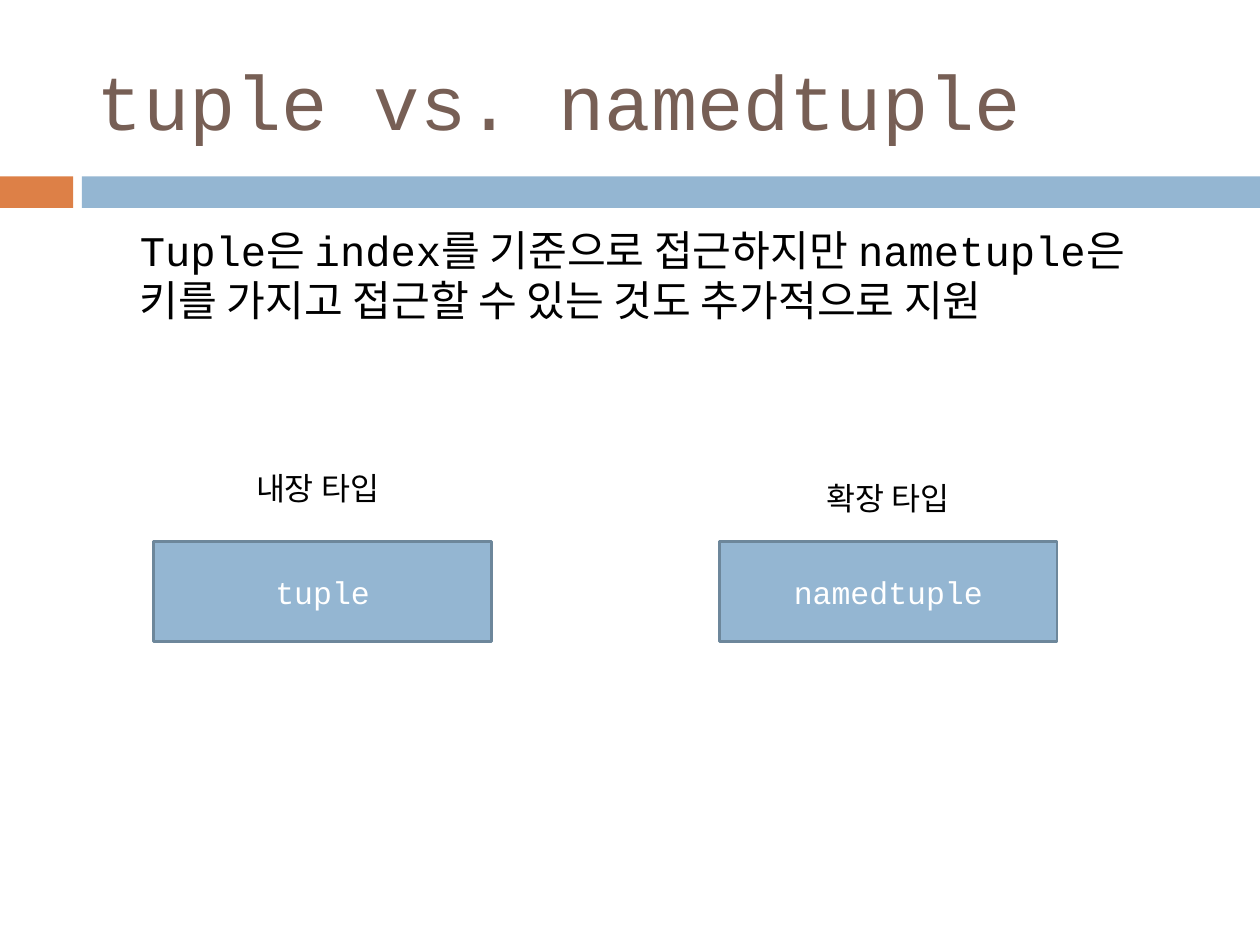
"""Build a slide comparing tuple with namedtuple."""
from pptx import Presentation
from pptx.dml.color import RGBColor
from pptx.enum.shapes import MSO_SHAPE as Shape
from pptx.enum.text import MSO_ANCHOR as Anchor, PP_ALIGN as Align
from pptx.util import Inches, Pt

COLORS = {
    "orange": "DD8047",
    "blue": "94B6D2",
    "outline": "6D879B",
    "brown": "775F55",
    "black": "000000",
    "white": "FFFFFF",
}


def add_rectangle(slide, box, color):
    shape = slide.shapes.add_shape(Shape.RECTANGLE, *map(Inches, box))
    shape.shadow.inherit = False
    shape.fill.solid()
    shape.fill.fore_color.rgb = RGBColor.from_string(COLORS[color])
    shape.line.fill.background()
    return shape


def write_text(shape, text, size, color, align=Align.LEFT, **frame_format):
    frame = shape.text_frame
    frame.word_wrap = True
    for name, value in frame_format.items():
        setattr(frame, name, value)
    paragraph = frame.paragraphs[0]
    paragraph.alignment = align
    run = paragraph.add_run()
    run.text = text
    for name, value in {"name": "Courier New", "size": Pt(size)}.items():
        setattr(run.font, name, value)
    run.font.color.rgb = RGBColor.from_string(COLORS[color])
    return paragraph


presentation = Presentation()
presentation.slide_width = Inches(10)
presentation.slide_height = Inches(7.5)
slide = presentation.slides.add_slide(presentation.slide_layouts[6])

add_rectangle(slide, (0, 1.4, 0.58, 0.25), "orange")
add_rectangle(slide, (0.65, 1.4, 9.35, 0.25), "blue")

title = slide.shapes.add_textbox(*map(Inches, (0.67, 0.25, 8.92, 1.08)))
write_text(title, "tuple vs. namedtuple", 44, "brown", vertical_anchor=Anchor.MIDDLE)

body = slide.shapes.add_textbox(*map(Inches, (0.51, 1.73, 9, 1.24)))
sentence = write_text(
    body,
    "Tuple은 index를 기준으로 접근하지만 nametuple은 키를 가지고 접근할 수 있는 것도 추가적으로 지원",
    24.1,
    "black",
    margin_left=Inches(0.6),
)
sentence.space_before = Pt(5.5)

types = [
    ("tuple", 1.22, "내장 타입", 1.38, 3.67),
    ("namedtuple", 5.71, "확장 타입", 5.91, 3.75),
]
for type_name, box_left, caption, caption_left, caption_top in types:
    type_box = add_rectangle(slide, (box_left, 4.3, 2.68, 0.79), "blue")
    type_box.line.color.rgb = RGBColor.from_string(COLORS["outline"])
    type_box.line.width = Pt(1.5)
    write_text(type_box, type_name, 18, "white", Align.CENTER, vertical_anchor=Anchor.MIDDLE)

    label = slide.shapes.add_textbox(*map(Inches, (caption_left, caption_top, 2.28, 0.4)))
    write_text(label, caption, 18, "black", Align.CENTER)

presentation.save("out.pptx")
